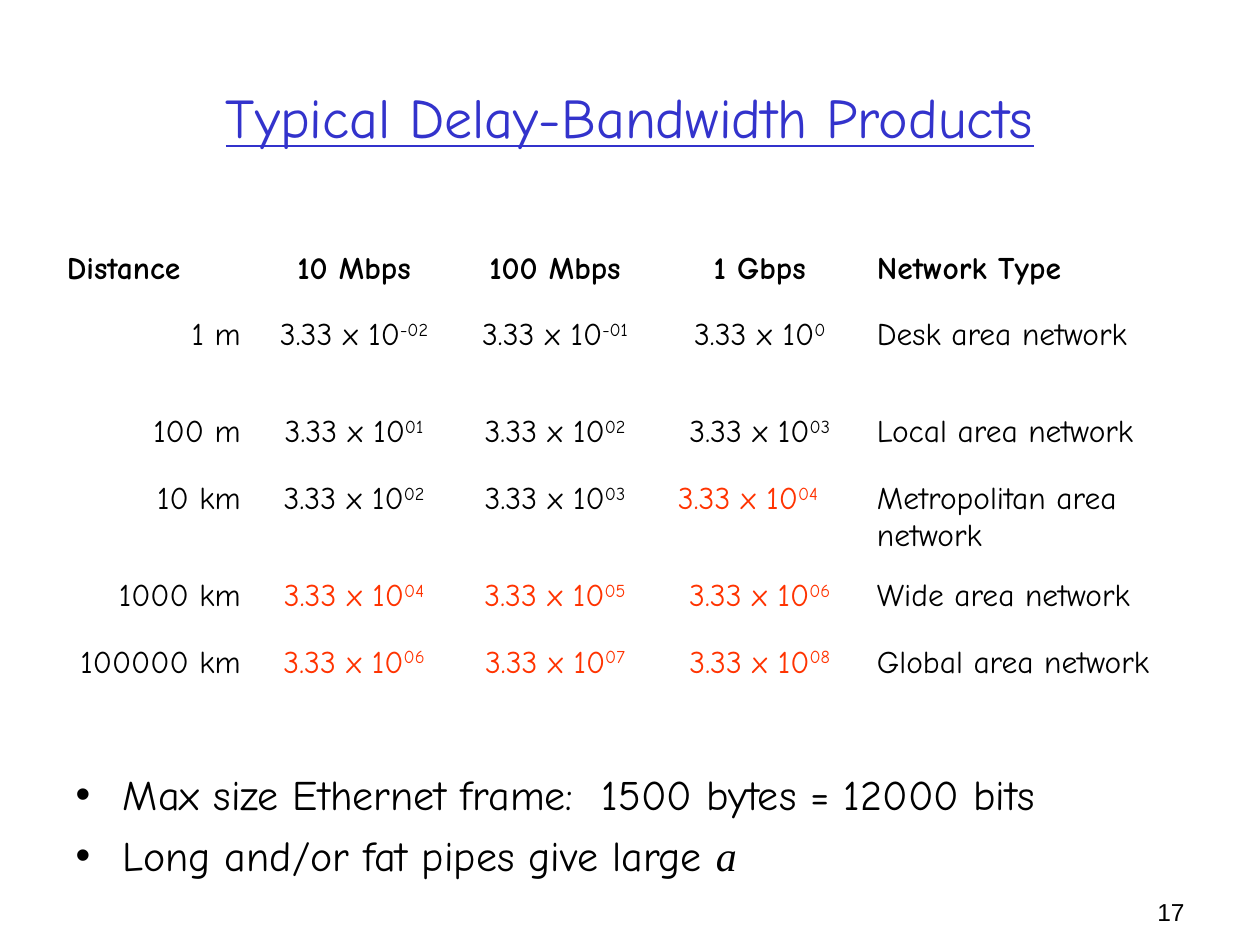
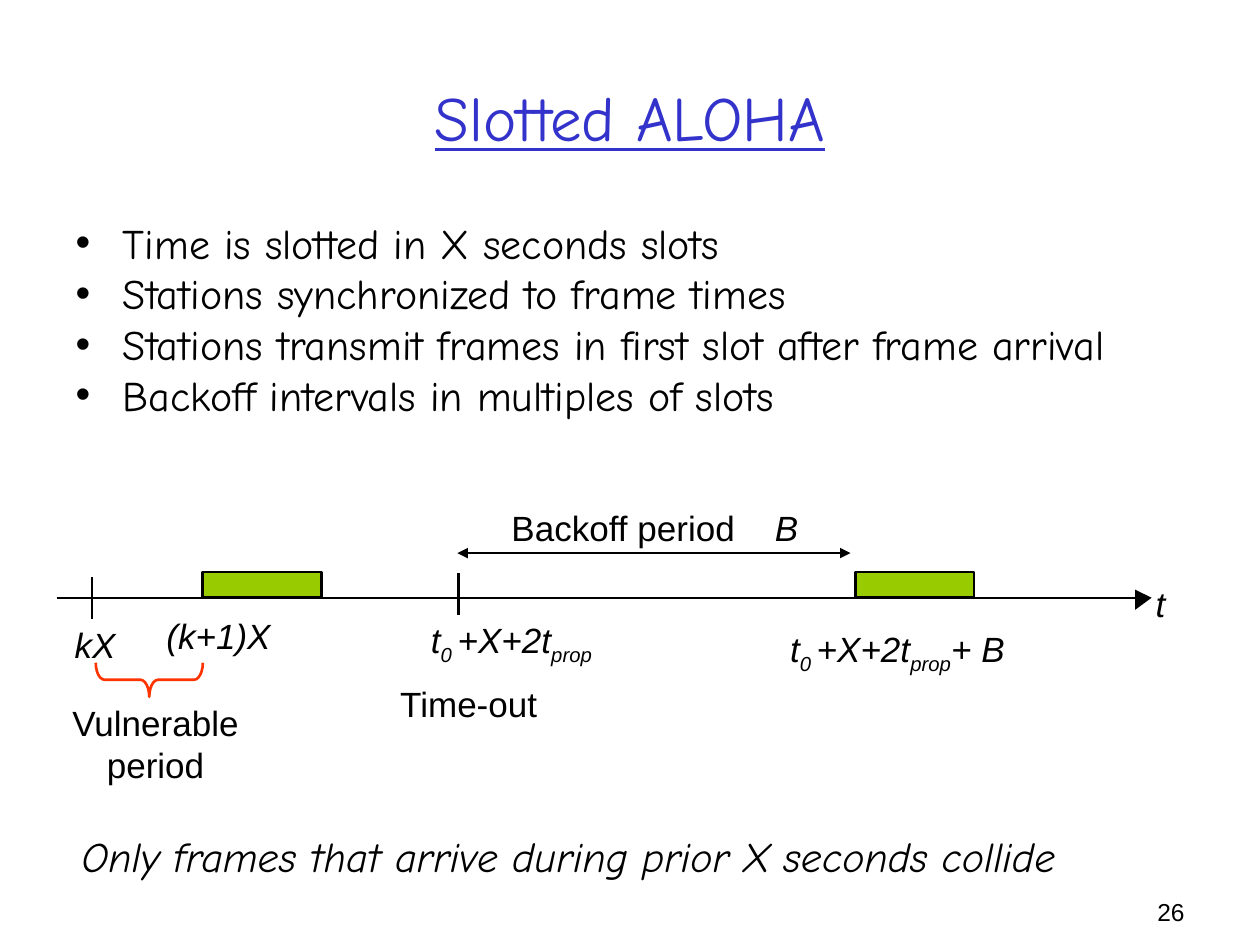
"""Build two lecture slides on delay-bandwidth products and slotted ALOHA."""
import pptx
import pptx.dml.color
import pptx.enum.shapes
import pptx.enum.text
import pptx.oxml.ns
import pptx.util
from lxml import etree

HAND, SANS, SERIF = "Comic Neue", "Arial", "Times New Roman"
BLACK, BLUE, RED, GREEN = "000000", "3333CC", "FF3300", "99CC00"
LEFT, CENTER, RIGHT = (pptx.enum.text.PP_ALIGN.LEFT, pptx.enum.text.PP_ALIGN.CENTER,
                       pptx.enum.text.PP_ALIGN.RIGHT)
SHAPES = pptx.enum.shapes.MSO_SHAPE
colour = pptx.dml.color.RGBColor.from_string
qn = pptx.oxml.ns.qn

deck = pptx.Presentation()
deck.slide_width = pptx.util.Inches(10)
deck.slide_height = pptx.util.Inches(7.5)
CELL = deck.slide_width / 40


def grid(*cells):
    """Turn columns and rows of a 40 by 30 grid into lengths."""
    return [pptx.util.Emu(round(cell * CELL)) for cell in cells]


def write(paragraph, text, size, font=HAND, ink=BLACK, align=LEFT, italic=False, shift=30):
    """Fill a paragraph; every second part between bars is raised by shift percent."""
    first, *others = text.split("|")
    paragraph.text = first
    for index, part in enumerate(others):
        run = paragraph.add_run()
        run.text = part
        if index % 2 == 0:
            run._r.get_or_add_rPr().set("baseline", str(shift * 1000))
    paragraph.alignment = align
    paragraph.font.size = pptx.util.Pt(size)
    paragraph.font.name = font
    paragraph.font.italic = italic
    paragraph.font.color.rgb = colour(ink)


pages = [
    ("Typical Delay-Bandwidth Products", 32, (2, 24.2, 36, 5.44), 1, "17",
     ["Max size Ethernet frame:  1500 bytes = 12000 bits",
      "Long and/or fat pipes give large "]),
    ("Slotted ALOHA", 36, (2, 7, 36, 9.16), 0.8, "26",
     ["Time is slotted in X seconds slots",
      "Stations synchronized to frame times",
      "Stations transmit frames in first slot after frame arrival",
      "Backoff intervals in multiples of slots"]),
]
for heading, heading_size, body_area, spacing, number, points in pages:
    slide = deck.slides.add_slide(deck.slide_layouts[1])
    title, body = slide.placeholders
    for part, area in ((title, (2, 1.2, 36, 5)), (body, body_area)):
        part.left, part.top, part.width, part.height = grid(*area)
        part.text_frame.auto_size = pptx.enum.text.MSO_AUTO_SIZE.NONE
    write(title.text_frame.paragraphs[0], heading, heading_size, ink=BLUE, align=CENTER)
    title.text_frame.paragraphs[0].font.underline = True
    for index, point in enumerate(points):
        bullet = body.text_frame.add_paragraph() if index else body.text_frame.paragraphs[0]
        bullet.space_before = pptx.util.Pt(6 if index else 0)
        bullet.line_spacing = spacing
        write(bullet, point, 24)
    page_number = slide.shapes.add_textbox(*grid(28.68, 28.28, 9.32, 1.12))
    page_number.text_frame.word_wrap = True
    write(page_number.text_frame.paragraphs[0], number, 14, SANS, align=RIGHT)

products, aloha = deck.slides

ratio = products.placeholders[1].text_frame.paragraphs[-1].add_run()
ratio.text = "a"
ratio.font.name = SERIF
ratio.font.italic = True

header = ["Distance", "10 Mbps", "100 Mbps", "1 Gbps", "Network Type"]
networks = [
    ("1 m", ["-02", "-01", "0"], "Desk area network"),
    ("100 m", ["01", "02", "03"], "Local area network"),
    ("10 km", ["02", "03", "04"], "Metropolitan area network"),
    ("1000 km", ["04", "05", "06"], "Wide area network"),
    ("100000 km", ["06", "07", "08"], "Global area network"),
]
rows = [header] + [[distance, *(f"3.33 x 10|{power}" for power in powers), network]
                   for distance, powers, network in networks]
column_widths = [6.32, 6.4, 6.36, 6.64, 10.68]
row_heights = [2.12, 3.08] * 3
delays = products.shapes.add_table(
    len(rows), len(header), *grid(1.72, 7.76, sum(column_widths), sum(row_heights))).table
delays.first_row = delays.horz_banding = False
for column, width in zip(delays.columns, grid(*column_widths)):
    column.width = width
for row, height in zip(delays.rows, grid(*row_heights)):
    row.height = height
for r, values in enumerate(rows):
    for c, value in enumerate(values):
        cell = delays.cell(r, c)
        cell.fill.background()
        large = "|" in value and int(value.split("|")[1]) >= 4
        align = CENTER if 0 < c < 4 else RIGHT if r and c == 0 else LEFT
        write(cell.text_frame.paragraphs[0], value, 18, ink=RED if large else BLACK, align=align)
        cell.text_frame.paragraphs[0].font.bold = r == 0
metro_gigabit = delays.cell(3, 3).text_frame.paragraphs[0]
metro_gigabit.alignment = LEFT
metro_gigabit._p.get_or_add_pPr().set("marL", str(grid(0.32)[0]))

AXIS = 18.98
strokes = [
    (1.8, AXIS, 36.24, AXIS, 1.5, ()),
    (2.92, 18.32, 2.92, 19.64, 1.5, ()),
    (14.56, 18.2, 14.56, 19.52, 1.5, ()),
    (14.52, 17.56, 27, 17.56, 1, ("a:headEnd", "a:tailEnd")),
]
for x1, y1, x2, y2, weight, ends in strokes:
    stroke = aloha.shapes.add_connector(
        pptx.enum.shapes.MSO_CONNECTOR.STRAIGHT, *grid(x1, y1, x2, y2))
    stroke.line.color.rgb = colour(BLACK)
    stroke.line.width = pptx.util.Pt(weight)
    for end in ends:
        etree.SubElement(stroke.line._get_or_add_ln(), qn(end), type="triangle")
    etree.SubElement(stroke._element.spPr, qn("a:effectLst"))

outline = aloha.shapes.build_freeform(*grid(36.04, 19.36), scale=1.0)
outline.add_line_segments([grid(36.56, AXIS), grid(36.04, 18.72)], close=True)
time_arrow = outline.convert_to_shape()
time_arrow.shadow.inherit = False
time_arrow.fill.solid()
time_arrow.fill.fore_color.rgb = colour(BLACK)
time_arrow.line.fill.background()

for frame_left in (6.44, 27.16):
    frame = aloha.shapes.add_shape(SHAPES.RECTANGLE, *grid(frame_left, 18.16, 3.76, 0.8))
    frame.shadow.inherit = False
    frame.fill.solid()
    frame.fill.fore_color.rgb = colour(GREEN)
    frame.line.color.rgb = colour(BLACK)
    frame.line.width = pptx.util.Pt(1.5)

vulnerable = aloha.shapes.add_shape(SHAPES.LEFT_BRACE, *grid(4.2, 19.88, 1.08, 3.4))
vulnerable.rotation = 270
vulnerable.adjustments[0] = 0.26
vulnerable.shadow.inherit = False
vulnerable.fill.background()
vulnerable.line.color.rgb = colour(RED)
vulnerable.line.width = pptx.util.Pt(1.5)

labels = [
    ("t", (36.68, 18.48, 0.32, 1.32), CENTER, True),
    ("(k+1)X", (5.28, 19.52, 3.32, 1.32), CENTER, True),
    ("kX", (2.36, 19.8, 1.32, 1.32), CENTER, True),
    ("t|0 |+X+2t|prop|+ B", (25.08, 19.92, 9.24, 1.52), LEFT, True),
    ("t|0 |+X+2t|prop", (13.68, 19.64, 9.24, 1.52), LEFT, True),
    ("Vulnerable\vperiod", (2.28, 22.28, 5.32, 2.68), CENTER, False),
    ("Time-out", (12.68, 21.68, 4.4, 1.32), CENTER, False),
    ("Backoff period\t", (16.24, 16.08, 9.6, 1.32), LEFT, False),
]
for text, area, align, italic in labels:
    label = aloha.shapes.add_textbox(*grid(*area)).text_frame
    label.margin_left = label.margin_top = label.margin_right = label.margin_bottom = 0
    label.word_wrap = area[2] > 5
    write(label.paragraphs[0], text, 20, SANS, align=align, italic=italic, shift=-25)

backoff = label.paragraphs[0]
backoff_tabs = etree.Element(qn("a:tabLst"))
etree.SubElement(backoff_tabs, qn("a:tab"), pos=str(grid(8.36)[0]), algn="l")
backoff._p.get_or_add_pPr().insert(0, backoff_tabs)
interval = backoff.add_run()
interval.text = "B"
interval.font.italic = True

conclusion = aloha.shapes.add_textbox(*grid(2.2, 26.48, 36, 2.24)).text_frame
conclusion.word_wrap = True
conclusion.paragraphs[0].line_spacing = 0.8
write(conclusion.paragraphs[0], "Only frames that arrive during prior X seconds collide", 24,
      italic=True)

deck.save("out.pptx")
